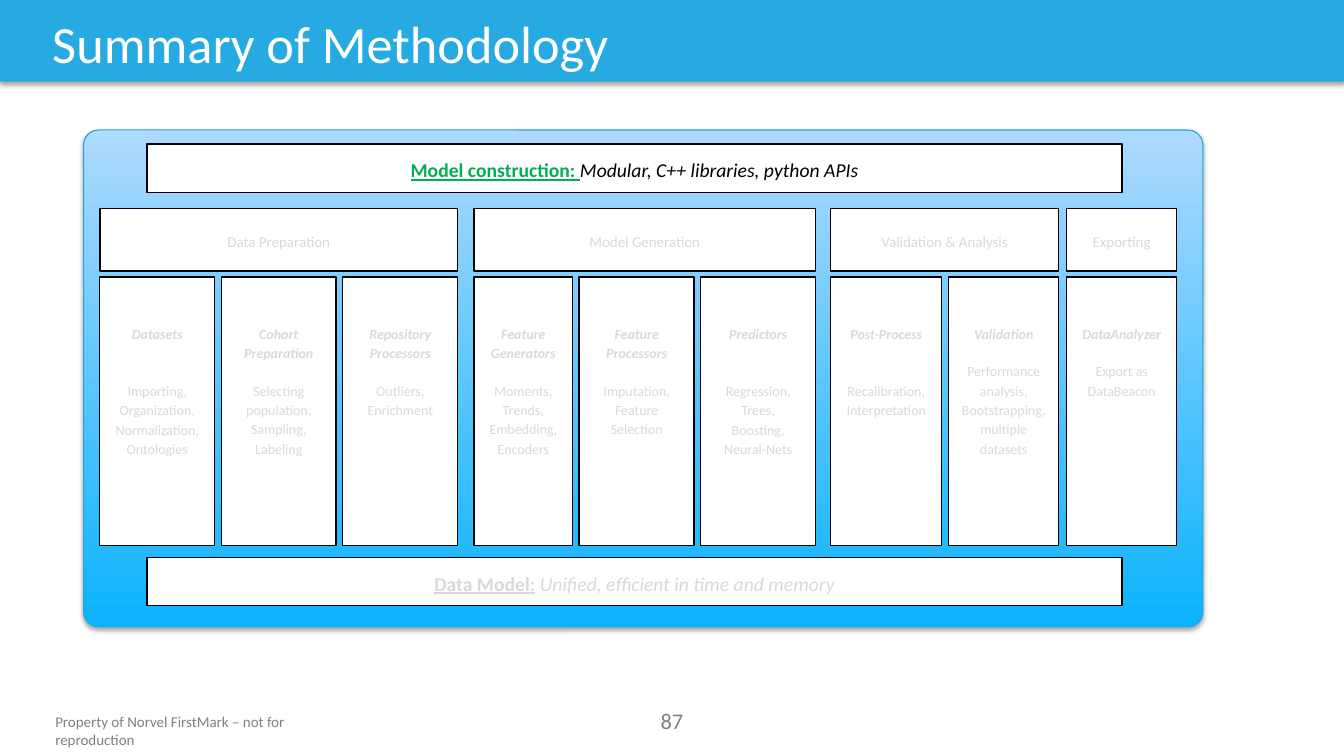
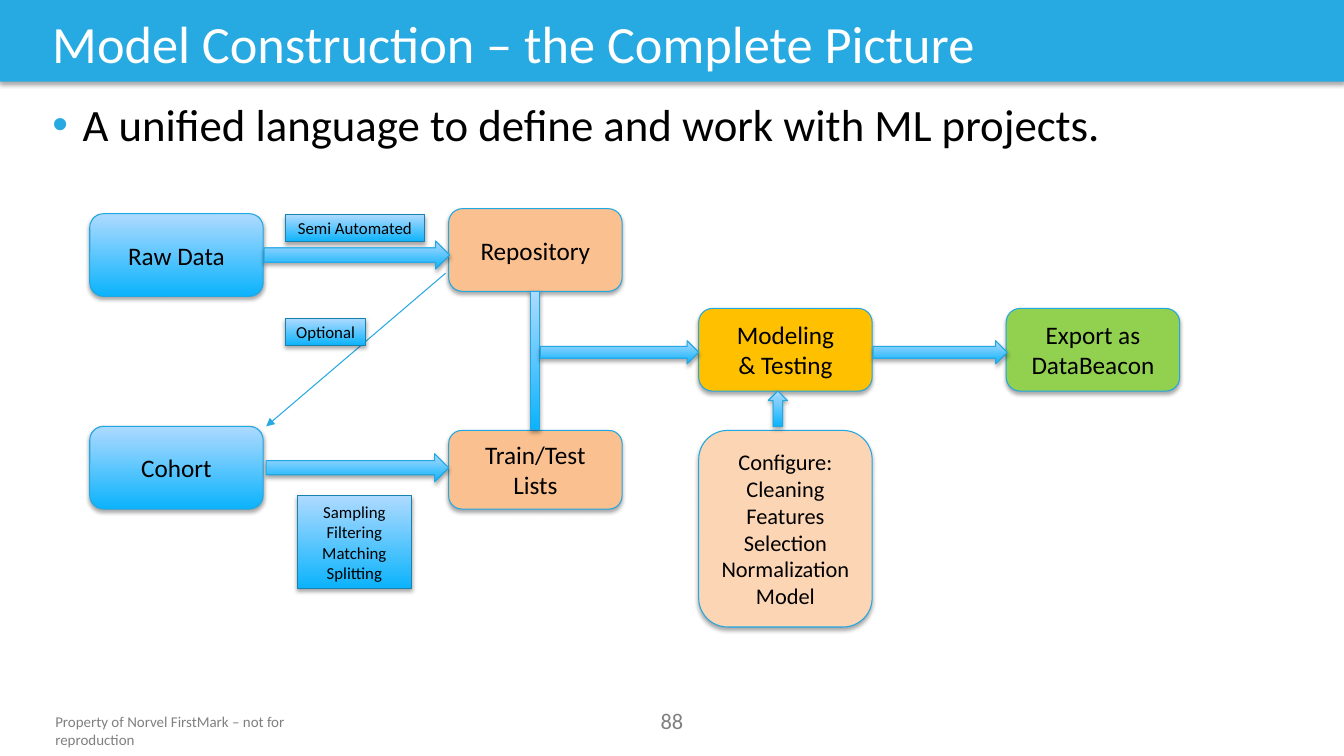
from lxml import etree
from pptx import Presentation
from pptx import util as u
from pptx.dml import color as dml
from pptx.enum import shapes, text
from pptx.oxml import ns

FONT = "Calibri"
WHITE, BLACK = "FFFFFF", "000000"
BAND, OUTLINE, LABEL_OUTLINE = "27A9E1", "21A7E1", "1881AE"
GRADIENT = ("0BB3FC", "AEDAFF")  # bottom, top
FOOTER, FADED, HIGHLIGHT = "808080", "D9D9D9", "00B050"
PEACH, PALE_PEACH, AMBER, GREEN = "FAC090", "FCD5B5", "FFC000", "92D050"

SHAPE = shapes.MSO_SHAPE
CENTER, LEFT = text.PP_ALIGN.CENTER, text.PP_ALIGN.LEFT
TOP, MIDDLE = text.MSO_ANCHOR.TOP, text.MSO_ANCHOR.MIDDLE
FOOTER_TEXT = "Property of Norvel FirstMark – not for reproduction"

# Each stage: name, left, width, steps (name, body, width, blank lines before the body)
STAGES = [
    ("Data Preparation", 0.99, 3.55, [
        ("Datasets", "Importing, Organization, Normalization, Ontologies", 1.14, 1),
        ("Cohort Preparation", "Selecting population, Sampling, Labeling", 1.14, 0),
        ("Repository Processors", "Outliers, Enrichment", 1.14, 0)]),
    ("Model Generation", 4.7, 3.39, [
        ("Feature Generators", "Moments, Trends, Embedding, Encoders", 0.98, 0),
        ("Feature Processors", "Imputation, Feature Selection", 1.14, 0),
        ("Predictors", "Regression, Trees, Boosting, Neural-Nets", 1.14, 1)]),
    ("Validation & Analysis", 8.24, 2.26, [
        ("Post-Process", "Recalibration, Interpretation", 1.1, 1),
        ("Validation", "Performance analysis, Bootstrapping, multiple datasets", 1.09, 0)]),
    ("Exporting", 10.58, 1.09, [
        ("DataAnalyzer", "Export as DataBeacon", 1.09, 0)]),
]


def rgb(value):
    return dml.RGBColor.from_string(value)


def inches(*lengths):
    return [u.Inches(length) for length in lengths]


def add_child(parent, tag, **attributes):
    child = etree.SubElement(parent, ns.qn(tag))
    for name, value in attributes.items():
        child.set(name, str(value))
    return child


def add_shadow(shape):
    effects = shape._element.spPr.find(ns.qn("a:effectLst"))
    shadow = add_child(effects, "a:outerShdw", blurRad=u.Pt(3.1), dist=u.Pt(1.8),
                       dir=90 * 60000, rotWithShape=0)
    add_child(add_child(shadow, "a:srgbClr", val=BLACK), "a:alpha", val=35000)


def paint(shape, fill):
    """Fill with one colour, or with a vertical gradient for a (bottom, top) pair."""
    if isinstance(fill, str):
        shape.fill.solid()
        shape.fill.fore_color.rgb = rgb(fill)
        return
    shape.fill.gradient()
    shape.fill.gradient_angle = 90
    for stop, value in zip(shape.fill.gradient_stops, fill):
        stop.color.rgb = rgb(value)


def add_box(slide, kind, box, fill=GRADIENT, line=OUTLINE, weight=0.75,
            shadow=True, corner=None):
    shape = slide.shapes.add_shape(kind, *inches(*box))
    shape.shadow.inherit = False
    paint(shape, fill)
    if line:
        shape.line.color.rgb = rgb(line)
        shape.line.width = u.Pt(weight)
    else:
        shape.line.fill.background()
    if corner is not None:
        shape.adjustments[0] = corner
    if shadow:
        add_shadow(shape)
    return shape


def write_text(shape, *paragraphs, size, color=BLACK, align=CENTER, anchor=MIDDLE,
               inset=(0.1, 0.05), top=None, spacing=None, wrap=True):
    """Each paragraph is a string or a list of (text, font settings) runs."""
    frame = shape.text_frame
    frame.word_wrap = wrap
    frame.vertical_anchor = anchor
    side, edge = inches(*inset)
    frame.margin_left = frame.margin_right = side
    frame.margin_bottom = edge
    frame.margin_top = edge if top is None else u.Inches(top)
    for index, runs in enumerate(paragraphs):
        paragraph = frame.add_paragraph() if index else frame.paragraphs[0]
        paragraph.alignment = align
        if spacing:
            paragraph.line_spacing = spacing
        for content, style in [(runs, {})] if isinstance(runs, str) else runs:
            run = paragraph.add_run()
            run.text = content
            font = run.font
            font.name, font.size = FONT, u.Pt(size)
            font.color.rgb = rgb(style.get("color", color))
            for flag in ("bold", "italic", "underline"):
                setattr(font, flag, style.get(flag, False))
    return frame.paragraphs


def add_text(slide, box, content, **style):
    return write_text(slide.shapes.add_textbox(*inches(*box)), content, **style)[0]


def add_bullet(slide, box, content):
    paragraph = add_text(slide, box, content, size=32, align=LEFT, anchor=TOP)
    paragraph.space_before = u.Pt(6.4)
    properties = paragraph._p.get_or_add_pPr()
    properties.set("marL", str(u.Inches(0.3)))
    properties.set("indent", str(-u.Inches(0.3)))
    add_child(add_child(properties, "a:buClr"), "a:srgbClr", val=BAND)
    add_child(properties, "a:buFont", typeface="Arial")
    add_child(properties, "a:buChar", char="•")


def add_arrow_line(slide, start, end):
    connector = slide.shapes.add_connector(
        shapes.MSO_CONNECTOR.STRAIGHT, *inches(*start, *end))
    connector.line.color.rgb = rgb(BAND)
    connector.line.width = u.Pt(0.75)
    add_child(connector.line._get_or_add_ln(), "a:tailEnd", type="triangle")
    add_child(connector._element.spPr, "a:effectLst")


def add_base_slide(presentation, title, number):
    slide = presentation.slides.add_slide(presentation.slide_layouts[6])
    add_box(slide, SHAPE.RECTANGLE, (0, -0.01, 13.33, 0.82), fill=BAND, line=None)
    add_text(slide, (0.45, 7.02, 3.28, 0.28), FOOTER_TEXT,
             size=10.7, color=FOOTER, align=LEFT, anchor=TOP, wrap=False)
    add_text(slide, (6.26, 6.97, 0.81, 0.37), str(number),
             size=16, color=FOOTER, anchor=TOP)
    add_text(slide, (0.42, 0.06, 11.1, 0.73), title,
             size=37.4, color=WHITE, align=LEFT)
    return slide


def add_cell(slide, box, *paragraphs, **style):
    """White, black-edged box of the methodology panel."""
    shape = add_box(slide, SHAPE.RECTANGLE, box, fill=WHITE, line=BLACK,
                    weight=1, shadow=False)
    settings = dict(color=FADED, inset=(0.13, 0.07), spacing=1.15)
    return write_text(shape, *paragraphs, **{**settings, **style})


def add_banner(slide, top, lead, detail, lead_color=FADED, detail_color=FADED):
    lead_style = dict(color=lead_color, bold=True, underline=True)
    add_cell(slide, (1.46, top, 9.67, 0.48),
             [(lead, lead_style), (detail, dict(color=detail_color, italic=True))],
             size=14)


def add_stage(slide, name, left, width, steps):
    add_cell(slide, (left, 2.07, width, 0.62), name, size=10.7)
    gap = (width - sum(step[2] for step in steps)) / max(len(steps) - 1, 1)
    for step, body, step_width, blank_lines in steps:
        heading = add_cell(slide, (left, 2.75, step_width, 2.66),
                           [(step, dict(bold=True, italic=True))], body,
                           size=10, anchor=TOP, top=0.45)[0]
        heading.space_after = u.Pt(13.3 + 14 * blank_lines)
        left += step_width + gap


def add_node(slide, left, top, *lines, fill=GRADIENT, height=0.82, size=18):
    shape = add_box(slide, SHAPE.ROUNDED_RECTANGLE, (left, top, 1.72, height),
                    fill=fill, corner=0.167)
    write_text(shape, *lines, size=size)


def add_label(slide, box, *lines):
    shape = add_box(slide, SHAPE.RECTANGLE, box, line=LABEL_OUTLINE)
    write_text(shape, *lines, size=12)


def build_summary(presentation):
    slide = add_base_slide(presentation, "Summary of Methodology", 87)
    add_box(slide, SHAPE.ROUNDED_RECTANGLE, (0.83, 1.29, 11.1, 4.93), corner=0.03)
    add_banner(slide, 1.43, "Model construction: ",
               "Modular, C++ libraries, python APIs", HIGHLIGHT, BLACK)
    for stage in STAGES:
        add_stage(slide, *stage)
    add_banner(slide, 5.53, "Data Model:", " Unified, efficient in time and memory")


def build_pipeline(presentation):
    slide = add_base_slide(presentation, "Model Construction – the Complete Picture", 88)
    add_bullet(slide, (0.42, 0.91, 11.81, 0.79),
               "A unified language to define and work with ML projects.")

    add_node(slide, 0.89, 2.12, "Raw Data")
    add_node(slide, 4.45, 2.07, "Repository", fill=PEACH)
    add_node(slide, 0.89, 4.23, "Cohort")
    add_arrow_line(slide, (4.42, 2.71), (2.64, 4.23))
    add_node(slide, 4.45, 4.27, "Train/Test Lists", fill=PEACH, height=0.78)
    add_node(slide, 6.93, 3.06, "Modeling", "& Testing", fill=AMBER)
    add_node(slide, 6.93, 4.27, "Configure:", "Cleaning", "Features", "Selection",
             "Normalization", "Model", fill=PALE_PEACH, height=1.95, size=16)
    add_node(slide, 9.98, 3.06, "Export as DataBeacon", fill=GREEN)

    add_label(slide, (2.83, 2.13, 1.38, 0.27), "Semi Automated")
    add_label(slide, (2.83, 3.16, 0.8, 0.27), "Optional")
    add_label(slide, (2.95, 4.92, 1.13, 0.92),
              "Sampling", "Filtering", "Matching", "Splitting")

    add_box(slide, SHAPE.RECTANGLE, (5.26, 2.89, 0.09, 1.37))
    for box in [(2.62, 2.39, 1.84, 0.28), (2.64, 4.5, 1.81, 0.28),
                (5.36, 3.38, 1.57, 0.23), (8.66, 3.38, 1.33, 0.23)]:
        add_box(slide, SHAPE.RIGHT_ARROW, box)
    add_box(slide, SHAPE.UP_ARROW, (7.62, 3.88, 0.19, 0.35))


def main():
    presentation = Presentation()
    presentation.slide_width, presentation.slide_height = inches(13.33, 7.5)
    build_summary(presentation)
    build_pipeline(presentation)
    presentation.save("out.pptx")


if __name__ == "__main__":
    main()
